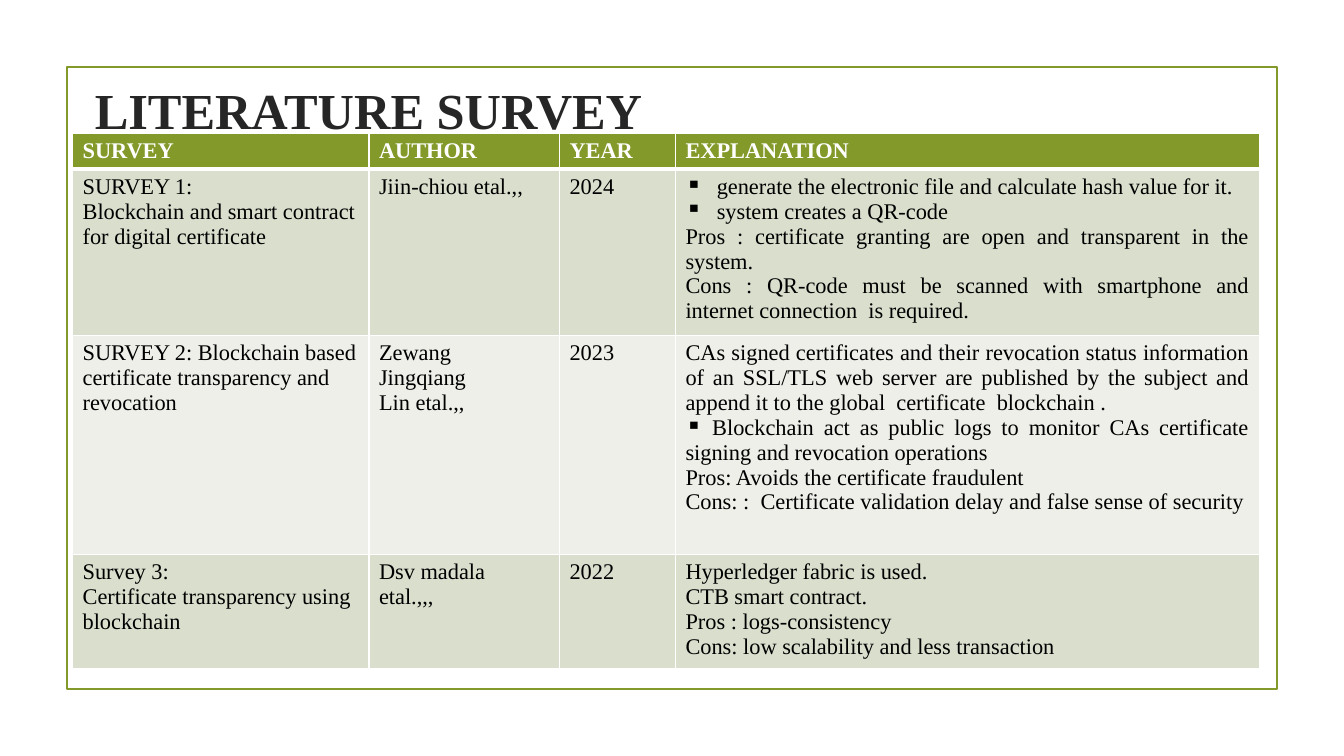
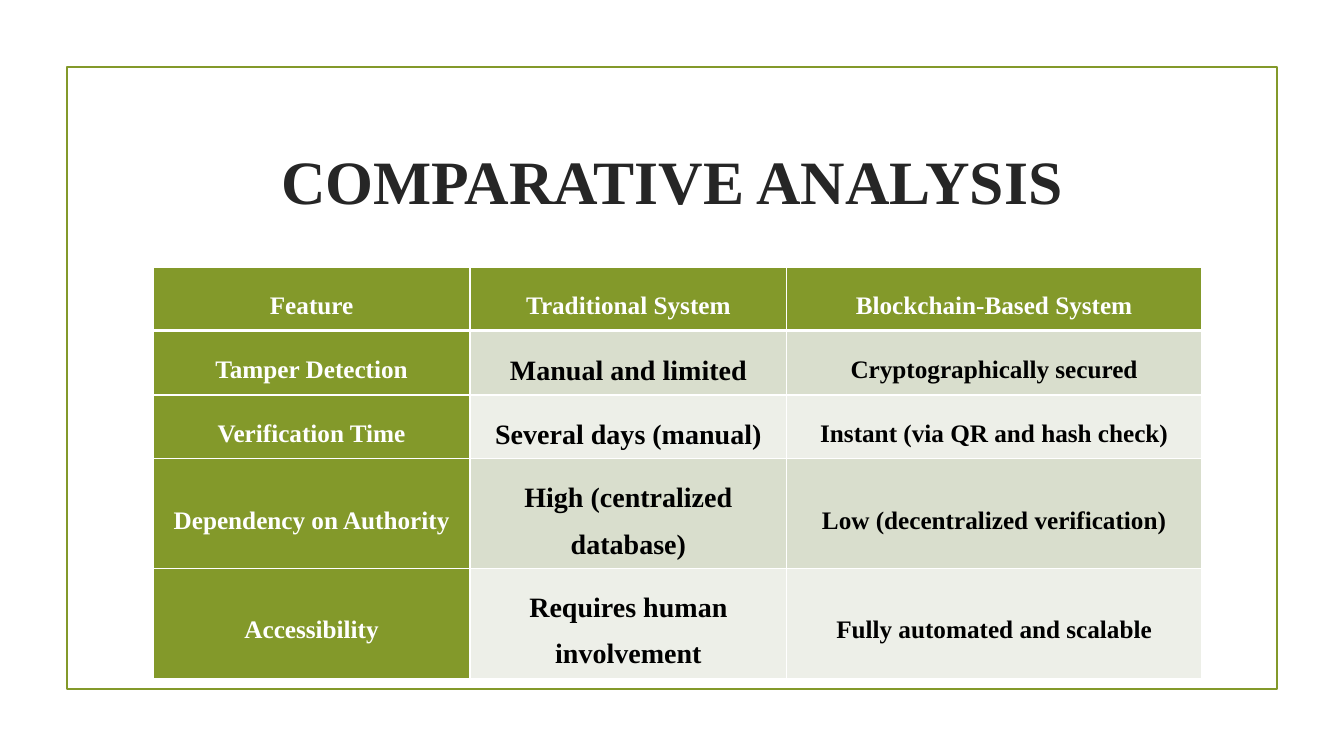
from dataclasses import dataclass

from lxml.etree import SubElement
from pptx import Presentation
from pptx.dml.color import RGBColor as Color
from pptx.enum.shapes import MSO_SHAPE as Preset
from pptx.enum.text import MSO_ANCHOR as Anchor
from pptx.enum.text import MSO_AUTO_SIZE as AutoSize
from pptx.enum.text import PP_ALIGN as Align
from pptx.oxml.ns import qn
from pptx.util import Inches, Pt


@dataclass(frozen=True)
class Theme:
    """Colours, type sizes and line widths shared by the slides."""

    font: str = "Times New Roman"
    accent: str = "83992A"
    title_ink: str = "262626"
    ink: str = "000000"
    white: str = "FFFFFF"
    bands: tuple = ("D9DECD", "EDEFE8")
    survey_title: int = 36
    analysis_title: int = 44
    survey_text: int = 16
    analysis_text: int = 18
    analysis_large: int = 20
    frame_line: float = 1.25
    cell_line: float = 1
    header_line: float = 3


@dataclass(frozen=True)
class Box:
    """A region in percent of the slide's width and height."""

    left: float
    top: float
    width: float
    height: float

    def place(self, deck):
        """Return left, top, width and height in slide units."""
        wide, high = deck.slide_width / 100, deck.slide_height / 100
        return (int(self.left * wide), int(self.top * high),
                int(self.width * wide), int(self.height * high))


@dataclass(frozen=True)
class Item:
    """One cell paragraph with its alignment and bullet."""

    text: str
    align: Align = Align.LEFT
    bullet: str = ""
    indent: float = 0


THEME = Theme()
FRAME = Box(5, 8.9, 90, 82.2)
SQUARE = "▪"

SURVEY_TITLE = Box(6.3, 2, 57.9, 24.8)
SURVEY_TABLE = Box(5.4, 17.6, 88.3, 70.8)
SURVEY_COLUMNS = (2.94, 1.89, 1.15, 5.79)
SURVEY_ROWS = (0.36, 1.65, 2.17, 1.13)
SURVEY = (
    (("SURVEY",), ("AUTHOR",), ("YEAR",), ("EXPLANATION",)),
    (
        ("SURVEY 1:", "Blockchain and smart contract for digital certificate"),
        ("Jiin-chiou etal.,,",),
        ("2024",),
        (
            Item("generate the electronic file and calculate hash value for it.",
                 bullet=SQUARE, indent=0.31),
            Item("system creates a QR-code", bullet=SQUARE, indent=0.31),
            Item("Pros : certificate granting are open and transparent in the system.",
                 Align.JUSTIFY),
            Item("Cons : QR-code must be scanned with smartphone and internet "
                 "connection  is required.", Align.JUSTIFY),
        ),
    ),
    (
        ("SURVEY 2: Blockchain based certificate transparency and revocation",),
        ("Zewang", "Jingqiang", "Lin etal.,,"),
        ("2023",),
        (
            Item("CAs signed certificates and their revocation status information of an "
                 "SSL/TLS web server are published by the subject and append it to the "
                 "global  certificate  blockchain .", Align.JUSTIFY),
            Item(" Blockchain act as public logs to monitor CAs certificate signing and "
                 "revocation operations", Align.JUSTIFY, SQUARE),
            Item("Pros: Avoids the certificate fraudulent", Align.JUSTIFY),
            Item("Cons: :  Certificate validation delay and false sense of security",
                 Align.JUSTIFY),
        ),
    ),
    (
        ("Survey 3:", "Certificate transparency using blockchain"),
        ("Dsv madala", "etal.,,,"),
        ("2022",),
        ("Hyperledger fabric is used.", "CTB smart contract.",
         "Pros : logs-consistency", "Cons: low scalability and less transaction"),
    ),
)

ANALYSIS_TITLE = Box(10.65, 14.27, 78.75, 19.07)
ANALYSIS_TABLE = Box(11.4, 35.33, 78, 54.4)
ANALYSIS_COLUMNS = (3.14, 3.14, 4.11)
ANALYSIS_ROWS = (0.63, 0.64, 0.63, 1.09, 1.09)
ANALYSIS = (
    ("Feature", "Traditional System", "Blockchain-Based System"),
    ("Tamper Detection", "Manual and limited", "Cryptographically secured"),
    ("Verification Time", "Several days (manual)", "Instant (via QR and hash check)"),
    ("Dependency on Authority", "High (centralized database)",
     "Low (decentralized verification)"),
    ("Accessibility", "Requires human involvement", "Fully automated and scalable"),
)


def apply(target, values):
    """Set each attribute named in a dict of format values."""
    for name, value in values.items():
        setattr(target, name, value)


def write(para, text, size, color, bold):
    """Add one formatted span to a paragraph."""
    span = para.add_run()
    span.text = text
    apply(span.font, {"name": THEME.font, "size": Pt(size), "bold": bold})
    span.font.color.rgb = Color.from_string(color)


def add_bullet(para, item):
    """Give a paragraph a bullet and its hanging indent."""
    props = para._p.get_or_add_pPr()
    indent = Inches(item.indent)
    props.set("marL", str(indent))
    props.set("indent", str(-indent))
    SubElement(props, qn("a:buChar")).set("char", item.bullet)


def add_frame(deck, layout, page):
    """Draw the thin outline and move it to the shared layout."""
    frame = page.shapes.add_shape(Preset.RECTANGLE, *FRAME.place(deck))
    frame.shadow.inherit = False
    frame.fill.background()
    frame.line.color.rgb = Color.from_string(THEME.accent)
    frame.line.width = Pt(THEME.frame_line)
    layout.shapes.element.append(frame.element)


def add_title(deck, page, box, text, size, align):
    """Place and format the title placeholder."""
    title = page.shapes.title
    apply(title, dict(zip(("left", "top", "width", "height"), box.place(deck))))
    apply(title.text_frame, {"word_wrap": True, "auto_size": AutoSize.NONE,
                             "vertical_anchor": Anchor.MIDDLE})
    para = title.text_frame.paragraphs[0]
    para.alignment = align
    write(para, text, size, THEME.title_ink, True)


def style_cell(cell, fill, is_header):
    """Give a cell white borders and a solid fill."""
    props = cell._tc.get_or_add_tcPr()
    for side in ("lnL", "lnR", "lnT", "lnB"):
        heavy = is_header and side == "lnB"
        width = THEME.header_line if heavy else THEME.cell_line
        border = SubElement(props, qn(f"a:{side}"), w=str(Pt(width)))
        paint = SubElement(border, qn("a:solidFill"))
        SubElement(paint, qn("a:srgbClr"), val=THEME.white)
    cell.fill.solid()
    cell.fill.fore_color.rgb = Color.from_string(fill)


def add_grid(deck, page, box, columns, rows, first_col=False):
    """Add a styled table and yield each cell with its row, column and accent flag."""
    left, top, width, height = box.place(deck)
    table = page.shapes.add_table(len(rows), len(columns), left, top, width, height).table
    apply(table, {"first_col": first_col, "horz_banding": False})
    for column, share in zip(table.columns, columns):
        column.width = int(width * share / sum(columns))
    for row, share in zip(table.rows, rows):
        row.height = int(height * share / sum(rows))
    for i in range(len(rows)):
        for j in range(len(columns)):
            accent = i == 0 or (first_col and j == 0)
            fill = THEME.accent if accent else THEME.bands[(i - 1) % 2]
            cell = table.cell(i, j)
            style_cell(cell, fill, i == 0)
            yield cell, i, j, accent


def fill_survey(deck, page):
    """Build the literature survey slide."""
    add_title(deck, page, SURVEY_TITLE, "LITERATURE SURVEY", THEME.survey_title,
              Align.JUSTIFY)
    grid = add_grid(deck, page, SURVEY_TABLE, SURVEY_COLUMNS, SURVEY_ROWS)
    for cell, i, j, accent in grid:
        frame = cell.text_frame
        for k, entry in enumerate(SURVEY[i][j]):
            item = entry if isinstance(entry, Item) else Item(entry)
            para = frame.add_paragraph() if k else frame.paragraphs[0]
            para.alignment = item.align
            if item.bullet:
                add_bullet(para, item)
            write(para, item.text, THEME.survey_text,
                  THEME.white if accent else THEME.ink, accent)


def fill_analysis(deck, page):
    """Build the comparative analysis slide."""
    add_title(deck, page, ANALYSIS_TITLE, "COMPARATIVE ANALYSIS", THEME.analysis_title,
              Align.CENTER)
    grid = add_grid(deck, page, ANALYSIS_TABLE, ANALYSIS_COLUMNS, ANALYSIS_ROWS, True)
    sides = ("margin_left", "margin_right", "margin_top", "margin_bottom")
    for cell, i, j, accent in grid:
        apply(cell, {"vertical_anchor": Anchor.MIDDLE,
                     **dict.fromkeys(sides, Inches(0.01))})
        para = cell.text_frame.paragraphs[0]
        apply(para, {"alignment": Align.CENTER, "line_spacing": 1.5,
                     "space_after": Pt(8)})
        large = j == 1 and not accent
        write(para, ANALYSIS[i][j],
              THEME.analysis_large if large else THEME.analysis_text,
              THEME.white if accent else THEME.ink, True)


def main():
    """Build and save the deck."""
    deck = Presentation()
    apply(deck, {"slide_width": Inches(13.33), "slide_height": Inches(7.5)})
    layout = deck.slide_layouts.get_by_name("Title Only")
    survey, analysis = (deck.slides.add_slide(layout) for _ in range(2))
    add_frame(deck, layout, survey)
    fill_survey(deck, survey)
    fill_analysis(deck, analysis)
    deck.save("out.pptx")


if __name__ == "__main__":
    main()
